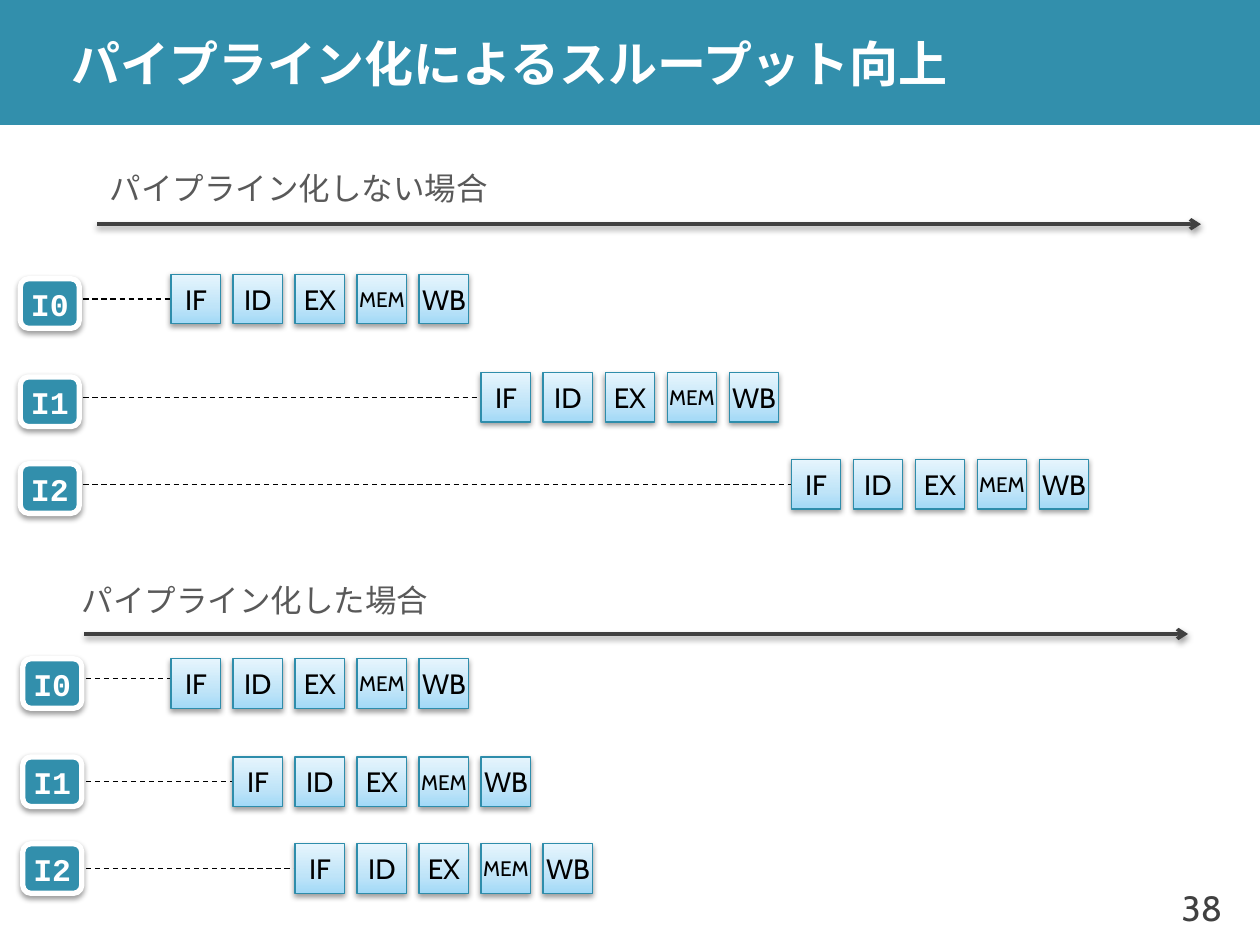
from copy import deepcopy

from pptx import Presentation
from pptx.dml.color import RGBColor
from pptx.enum.dml import MSO_LINE
from pptx.enum.shapes import MSO_CONNECTOR, MSO_SHAPE
from pptx.enum.text import MSO_ANCHOR, PP_ALIGN
from pptx.oxml.ns import qn
from pptx.util import Cm, Pt
from lxml import etree

RECT, ROUND = MSO_SHAPE.RECTANGLE, MSO_SHAPE.ROUNDED_RECTANGLE
LEFT, CENTER, RIGHT = PP_ALIGN.LEFT, PP_ALIGN.CENTER, PP_ALIGN.RIGHT
TOP, MIDDLE = MSO_ANCHOR.TOP, MSO_ANCHOR.MIDDLE
STRAIGHT, DASH = MSO_CONNECTOR.STRAIGHT, MSO_LINE.DASH

# Content (lengths in cm); slot = pipeline cycle in which an instruction starts
TITLE = "パイプライン化によるスループット向上"
PAGE = "38"
STAGES = ["IF", "ID", "EX", "MEM", "WB"]
SECTIONS = [
    {"caption": "パイプライン化しない場合", "caption_at": (1.96, 3.28, 8.2),
     "axis": (1.96, 4.52), "rows_top": 5.53, "tag_x": 0.41, "tag_dy": 0.09,
     "rows": [("I0", 0, 0.5), ("I1", 5, 0.5), ("I2", 10, 0.5)]},
    {"caption": "パイプライン化した場合", "caption_at": (1.4, 11.58, 7.57),
     "axis": (1.7, 12.78), "rows_top": 13.28, "tag_x": 0.46, "tag_dy": 0,
     "rows": [("I0", 0, 0.4), ("I1", 1, 0.5), ("I2", 2, 0.5)]},
]

# Layout rules
ROW_OFFSETS = [0, 1.98, 3.73]
STAGE_X, STAGE_PITCH, STAGE_SIZE = 3.45, 1.25, 1.0
TAG_W, TAG_H = 1.19, 1.0
AXIS_LENGTH = 22.25

THEME = {
    "font": "Cabin", "mono": "Courier New",
    "accent": "328FAC", "edge": "2E8DAB", "white": "FFFFFF", "black": "000000",
    "dark": "404040", "gray": "595959",
    "gradient": [(0, "A2D9F7"), (0.35, "BFE4F8"), (1, "E6F5FD")],
    "title": 28, "page": 20, "caption": 18, "tag": 18, "stage": 16, "long_stage": 12,
}


def rgb(name):
    return RGBColor.from_string(THEME.get(name, name))


def set_text(sp, text, size, color, align=LEFT, anchor=MIDDLE, font="font",
             bold=False, wrap=False):
    tf = sp.text_frame
    tf.text = text
    tf.word_wrap = wrap
    tf.vertical_anchor = anchor
    p = tf.paragraphs[0]
    p.alignment = align
    f = p.runs[0].font
    f.name, f.size, f.bold = THEME[font], Pt(THEME[size]), bold
    f.color.rgb = rgb(color)


def add_label(s, box, text, size, color, **style):
    sp = s.shapes.add_textbox(*map(Cm, box))
    set_text(sp, text, size, color, **style)
    return sp


def add_shadow(effects):
    shadow = etree.SubElement(effects, qn("a:outerShdw"), blurRad="40000",
                              dist="20000", dir="5400000", rotWithShape="0")
    color = etree.SubElement(shadow, qn("a:srgbClr"), val=THEME["black"])
    etree.SubElement(color, qn("a:alpha"), val="38000")


def add_box(s, kind, x, y, w, h, line, width):
    sp = s.shapes.add_shape(kind, Cm(x), Cm(y), Cm(w), Cm(h))
    sp.line.color.rgb = rgb(line)
    sp.line.width = Pt(width)
    sp.shadow.inherit = False
    add_shadow(sp._element.spPr.find(qn("a:effectLst")))
    return sp


def add_line(s, x1, x2, y, color, width):
    """Horizontal line; returns it with its empty effect list."""
    ln = s.shapes.add_connector(STRAIGHT, Cm(x1), Cm(y), Cm(x2), Cm(y))
    ln.line.color.rgb = rgb(color)
    ln.line.width = Pt(width)
    return ln, etree.SubElement(ln._element.spPr, qn("a:effectLst"))


def add_axis(s, x, y):
    ln, effects = add_line(s, x, x + AXIS_LENGTH, y, "dark", 2)
    etree.SubElement(ln.line._get_or_add_ln(), qn("a:tailEnd"), type="arrow")
    add_shadow(effects)


def add_tag(s, x, y, name):
    sp = add_box(s, ROUND, x, y, TAG_W, TAG_H, "white", 3)
    sp.fill.solid()
    sp.fill.fore_color.rgb = rgb("accent")
    set_text(sp, name, "tag", "white", align=CENTER, font="mono", bold=True)


def add_stage(s, x, y, name):
    sp = add_box(s, RECT, x, y, STAGE_SIZE, STAGE_SIZE, "edge", 0.75)
    sp.fill.gradient()
    sp.fill.gradient_angle = 90
    stops = sp._element.spPr.find(".//" + qn("a:gsLst"))
    stops.append(deepcopy(stops[0]))
    for stop, (position, color) in zip(sp.fill.gradient_stops, THEME["gradient"]):
        stop.position = position
        stop.color.rgb = rgb(color)
    size = "long_stage" if len(name) > 2 else "stage"
    set_text(sp, name, size, "black", align=CENTER)


def add_section(s, sec):
    x, y, w = sec["caption_at"]
    add_label(s, (x, y, w, 1.02), sec["caption"], "caption", "gray", anchor=TOP)
    add_axis(s, *sec["axis"])
    for (name, slot, dash_dy), offset in zip(sec["rows"], ROW_OFFSETS):
        y = sec["rows_top"] + offset
        start = STAGE_X + slot * STAGE_PITCH
        # Waiting time, then the tag over its left end
        dash, _ = add_line(s, sec["tag_x"] + TAG_W - 0.1, start, y + dash_dy, "black", 0.75)
        dash.line.dash_style = DASH
        add_tag(s, sec["tag_x"], y + sec["tag_dy"], name)
        for i, stage in enumerate(STAGES):
            add_stage(s, start + i * STAGE_PITCH, y, stage)


def main():
    prs = Presentation()
    prs.slide_width, prs.slide_height = Cm(25.4), Cm(19.05)
    s = prs.slides.add_slide(prs.slide_layouts[6])

    # Title band
    band = s.shapes.add_shape(RECT, 0, 0, prs.slide_width, Cm(2.52))
    band.shadow.inherit = False
    band.fill.solid()
    band.fill.fore_color.rgb = rgb("accent")
    band.line.fill.background()
    title = add_label(s, (1.19, 0, 24.21, 2.52), TITLE, "title", "white",
                      bold=True, wrap=True)
    title.text_frame.margin_top = title.text_frame.margin_bottom = 0

    # Both timelines
    for sec in SECTIONS:
        add_section(s, sec)

    # Page number
    add_label(s, (23.19, 17.53, 1.7, 1.52), PAGE, "page", "dark", align=RIGHT)
    prs.save("out.pptx")


if __name__ == "__main__":
    main()
